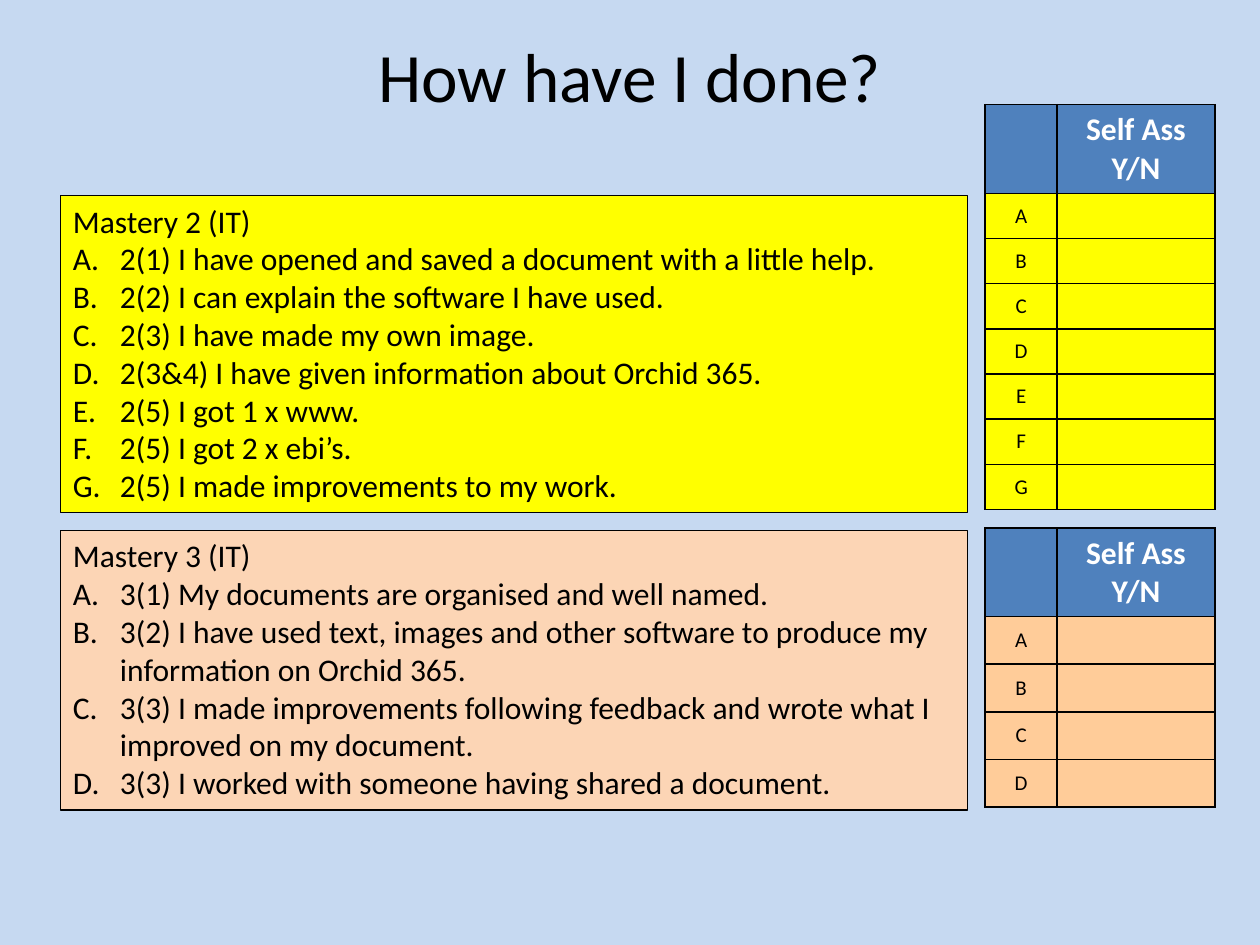
from lxml.etree import SubElement
from pptx import Presentation
from pptx.dml.color import RGBColor
from pptx.enum.shapes import MSO_SHAPE
from pptx.enum.text import MSO_ANCHOR, MSO_AUTO_SIZE, PP_ALIGN
from pptx.oxml.ns import qn
from pptx.util import Cm, Pt

RECTANGLE = MSO_SHAPE.RECTANGLE
TOP, MIDDLE = MSO_ANCHOR.TOP, MSO_ANCHOR.MIDDLE
LEFT, CENTER = PP_ALIGN.LEFT, PP_ALIGN.CENTER
GROW = MSO_AUTO_SIZE.SHAPE_TO_FIT_TEXT

BLACK = RGBColor(0x00, 0x00, 0x00)
WHITE = RGBColor(0xFF, 0xFF, 0xFF)
SKY = RGBColor(0xC6, 0xD9, 0xF1)
BLUE = RGBColor(0x4F, 0x81, 0xBD)
YELLOW = RGBColor(0xFF, 0xFF, 0x00)
PEACH = RGBColor(0xFC, 0xD5, 0xB5)
ORANGE = RGBColor(0xFF, 0xCC, 0x99)

MASTERY_2 = [
    "2(1) I have opened and saved a document with a little help.",
    "2(2) I can explain the software I have used.",
    "2(3) I have made my own image.",
    "2(3&4) I have given information about Orchid 365.",
    "2(5) I got 1 x www.",
    "2(5) I got 2 x ebi’s.",
    "2(5) I made improvements to my work.",
]
MASTERY_3 = [
    "3(1) My documents are organised and well named.",
    "3(2) I have used text, images and other software to produce my "
    "information on Orchid 365.",
    "3(3) I made improvements following feedback and wrote what I "
    "improved on my document.",
    "3(3) I worked with someone having shared a document.",
]


class AssessmentSlide:
    """Hold the style and the current slide, and draw each kind of element."""

    font = "Calibri"
    body_size = 18
    label_size = 12
    column_widths = (Cm(1.45), Cm(3.18))
    header_height = Cm(1.79)

    def __init__(self, deck):
        self.slide = deck.slides.add_slide(deck.slide_layouts[6])
        background = self.slide.background.fill
        background.solid()
        background.fore_color.rgb = SKY

    def format_text(self, frame, size, color=BLACK, bold=False, align=LEFT):
        for para in frame.paragraphs:
            para.alignment = align
            for span in para.runs:
                span.font.name = self.font
                span.font.size = Pt(size)
                span.font.bold = bold
                span.font.color.rgb = color

    def title(self, text):
        box = self.slide.shapes.add_textbox(Cm(1.27), Cm(0.76), Cm(22.86), Cm(3.18))
        frame = box.text_frame
        frame.word_wrap = True
        frame.vertical_anchor = MIDDLE
        frame.margin_top, frame.margin_bottom = 0, Cm(1.7)
        frame.text = text
        self.format_text(frame, 39.6, align=CENTER)

    def criteria(self, top, height, heading, items, color):
        box = self.slide.shapes.add_shape(RECTANGLE, Cm(1.22), top, Cm(18.29), height)
        box.shadow.inherit = False
        box.fill.solid()
        box.fill.fore_color.rgb = color
        box.line.color.rgb = BLACK
        box.line.width = Pt(0.75)
        frame = box.text_frame
        frame.word_wrap = True
        frame.auto_size = GROW
        frame.vertical_anchor = TOP
        frame.text = "\n".join([heading, *items])
        self.format_text(frame, self.body_size)
        for para in frame.paragraphs[1:]:
            self.letter(para)

    def letter(self, para):
        properties = para._p.get_or_add_pPr()
        properties.set("marL", str(Cm(0.95)))
        properties.set("indent", str(-Cm(0.95)))
        SubElement(properties, qn("a:buFont"), typeface="+mj-lt")
        SubElement(properties, qn("a:buAutoNum"), type="alphaUcPeriod")

    def checklist(self, top, row_height, count, color):
        height = self.header_height + row_height * count
        table = self.slide.shapes.add_table(
            count + 1, 2, Cm(19.86), top, sum(self.column_widths), height
        ).table
        for column, width in zip(table.columns, self.column_widths):
            column.width = width
        for row in table.rows:
            row.height = row_height
        table.rows[0].height = self.header_height
        self.cell(table.cell(0, 0), "", BLUE)
        self.cell(table.cell(0, 1), "Self Ass\nY/N", BLUE)
        self.format_text(
            table.cell(0, 1).text_frame, self.body_size, WHITE, True, CENTER
        )
        for index, name in enumerate("ABCDEFG"[:count], start=1):
            label, answer = table.cell(index, 0), table.cell(index, 1)
            self.cell(label, name, color)
            self.cell(answer, "", color)
            label.vertical_anchor = MIDDLE
            self.format_text(label.text_frame, self.label_size, align=CENTER)
            SubElement(
                answer.text_frame.paragraphs[0]._p,
                qn("a:endParaRPr"),
                sz=str(self.label_size * 100),
            )

    def cell(self, cell, text, color):
        cell.text_frame.text = text
        cell.fill.solid()
        cell.fill.fore_color.rgb = color
        properties = cell._tc.get_or_add_tcPr()
        for position, side in enumerate(("lnL", "lnR", "lnT", "lnB")):
            border = SubElement(properties, qn(f"a:{side}"), w=str(Pt(1)))
            fill = SubElement(border, qn("a:solidFill"))
            SubElement(fill, qn("a:srgbClr"), val=str(BLACK))
            properties.insert(position, border)


def main():
    deck = Presentation()
    deck.slide_width, deck.slide_height = Cm(25.4), Cm(19.05)
    page = AssessmentSlide(deck)
    page.title("How have I done?")
    page.criteria(Cm(3.94), Cm(6.4), "Mastery 2 (IT)", MASTERY_2, YELLOW)
    page.checklist(Cm(2.11), Cm(0.91), len(MASTERY_2), YELLOW)
    page.criteria(Cm(10.69), Cm(5.64), "Mastery 3 (IT)", MASTERY_3, PEACH)
    page.checklist(Cm(10.64), Cm(0.96), len(MASTERY_3), ORANGE)
    deck.save("out.pptx")


if __name__ == "__main__":
    main()
